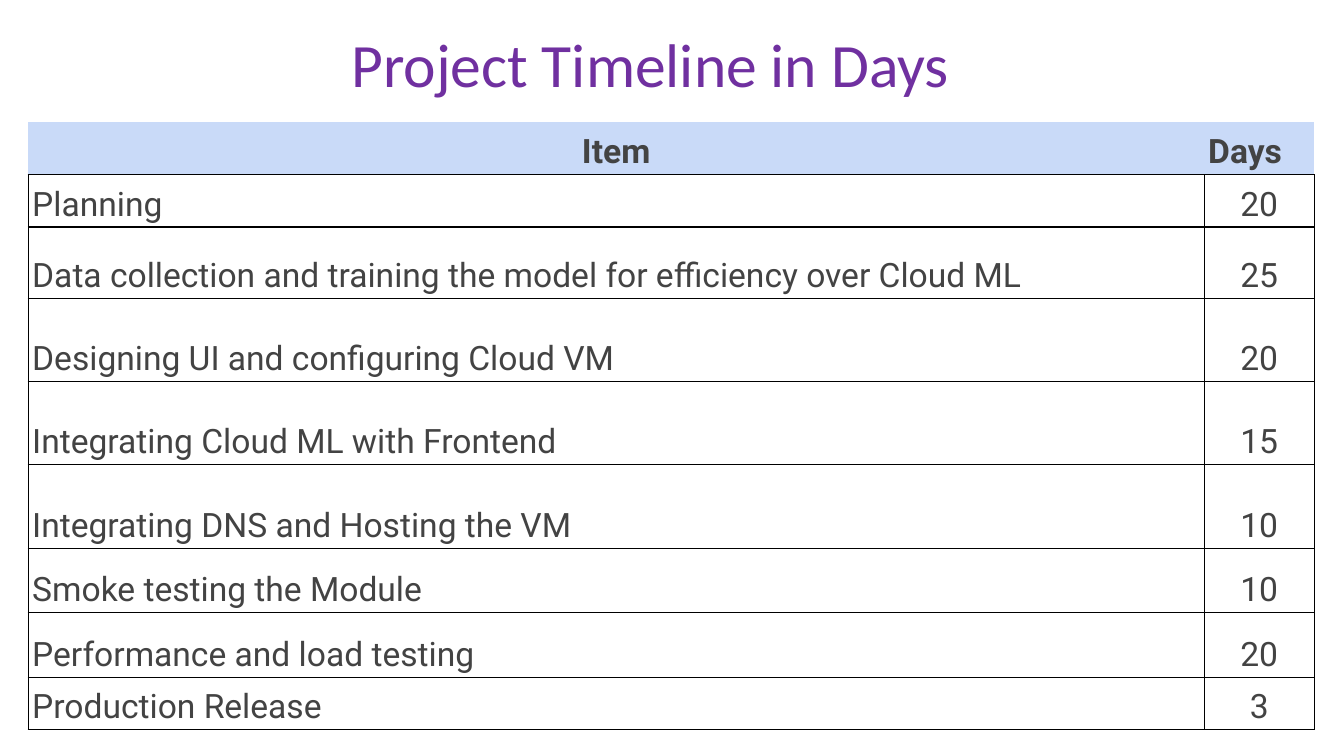
from pptx import Presentation
from pptx.dml.color import RGBColor
from pptx.enum.text import MSO_ANCHOR, PP_ALIGN
from pptx.oxml.ns import qn
from pptx.util import Inches, Pt
from lxml import etree

CENTER, LEFT = PP_ALIGN.CENTER, PP_ALIGN.LEFT
BOTTOM, MIDDLE = MSO_ANCHOR.BOTTOM, MSO_ANCHOR.MIDDLE

PURPLE = RGBColor(0x70, 0x30, 0xA0)
GRAY = RGBColor(0x43, 0x43, 0x43)
PALE_BLUE = RGBColor(0xC9, 0xDA, 0xF8)
WHITE = RGBColor(0xFF, 0xFF, 0xFF)
BLACK = RGBColor(0x00, 0x00, 0x00)

COLUMN_WIDTHS = [8.75, 0.82]
HEADER_HEIGHT = 0.39
HEADER = ("Item", "Days")
# Item, days, row height
TASKS = [
    ("Planning", 20, 0.39),
    ("Data collection and training the model for efficiency over Cloud ML", 25, 0.53),
    ("Designing UI and configuring Cloud VM", 20, 0.62),
    ("Integrating Cloud ML with Frontend", 15, 0.62),
    ("Integrating DNS and Hosting the VM", 10, 0.62),
    ("Smoke testing the Module", 10, 0.48),
    ("Performance and load testing", 20, 0.48),
    ("Production Release", 3, 0.39),
]


def format_text(para, font_name, size, color, align, spacing, bold=False):
    para.alignment = align
    para.line_spacing = spacing
    for run in para.runs:
        run.font.name = font_name
        run.font.size = Pt(size)
        run.font.color.rgb = color
        run.font.bold = bold


def set_borders(cell, visible_sides):
    """Draw the named sides (L, R, T, B) in black and hide the others."""
    properties = cell._tc.get_or_add_tcPr()
    for position, side in enumerate("LRTB"):
        line = etree.Element(qn(f"a:ln{side}"), w=str(Pt(0.75)))
        if side in visible_sides:
            fill = etree.SubElement(line, qn("a:solidFill"))
            etree.SubElement(fill, qn("a:srgbClr"), val=str(BLACK))
        else:
            etree.SubElement(line, qn("a:noFill"))
        properties.insert(position, line)


def fill_cell(cell, text, align, fill, borders, bold=False):
    cell.text_frame.text = text
    format_text(cell.text_frame.paragraphs[0], "Roboto", 18, GRAY, align, 1.15, bold)
    cell.vertical_anchor = BOTTOM
    cell.margin_left = cell.margin_right = Inches(0.03)
    cell.margin_top = cell.margin_bottom = Inches(0.02)
    cell.fill.solid()
    cell.fill.fore_color.rgb = fill
    set_borders(cell, borders)


def add_timeline_table(page):
    heights = [HEADER_HEIGHT] + [height for _, _, height in TASKS]
    frame = page.shapes.add_table(
        len(heights), len(COLUMN_WIDTHS), Inches(0.21), Inches(0.91),
        Inches(sum(COLUMN_WIDTHS)), Inches(sum(heights)))
    table = frame.table
    table.first_row = table.horz_banding = False
    for column, width in zip(table.columns, COLUMN_WIDTHS):
        column.width = Inches(width)
    for row, height in zip(table.rows, heights):
        row.height = Inches(height)

    # Header row
    for index, (label, align) in enumerate(zip(HEADER, (CENTER, LEFT))):
        fill_cell(table.cell(0, index), label, align, PALE_BLUE, "B", bold=True)

    # Task rows
    for index, (item, days, _) in enumerate(TASKS, start=1):
        fill_cell(table.cell(index, 0), item, LEFT, WHITE, "LRTB")
        fill_cell(table.cell(index, 1), str(days), CENTER, WHITE, "LRTB")


def add_title(page, text):
    box = page.shapes.add_textbox(Inches(0.8), Inches(0.19), Inches(8.08), Inches(0.62))
    frame = box.text_frame
    frame.word_wrap = True
    frame.vertical_anchor = MIDDLE
    frame.margin_left = frame.margin_right = Inches(0.07)
    frame.margin_top = frame.margin_bottom = Inches(0.04)
    frame.text = text
    format_text(frame.paragraphs[0], "Calibri", 33, PURPLE, CENTER, 0.9)


def main():
    # Widescreen 16:9 page
    deck = Presentation()
    deck.slide_width = Inches(10)
    deck.slide_height = Inches(10) * 9 // 16
    page = deck.slides.add_slide(deck.slide_layouts[6])
    add_timeline_table(page)
    add_title(page, "Project Timeline in Days")
    deck.save("out.pptx")


if __name__ == "__main__":
    main()
